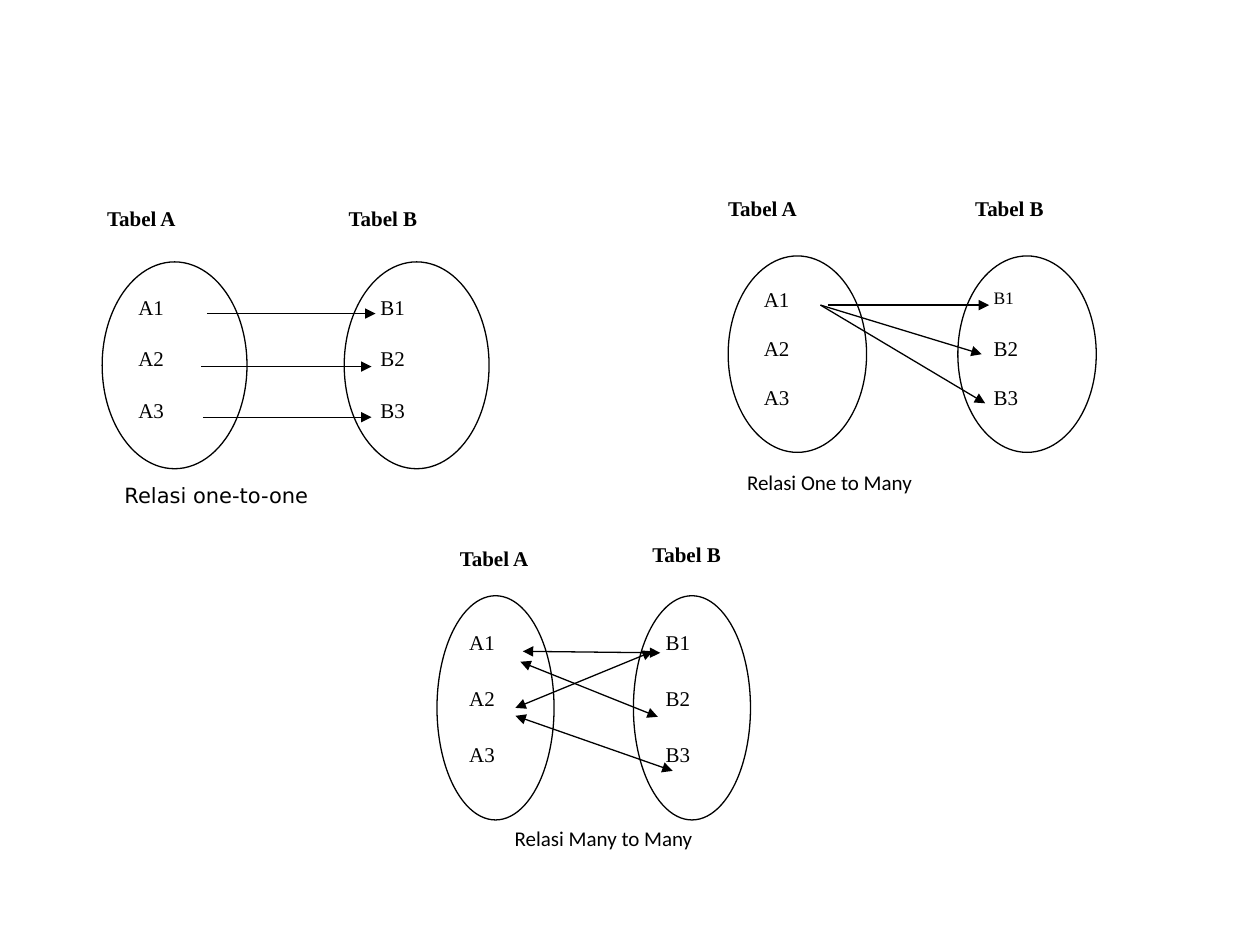
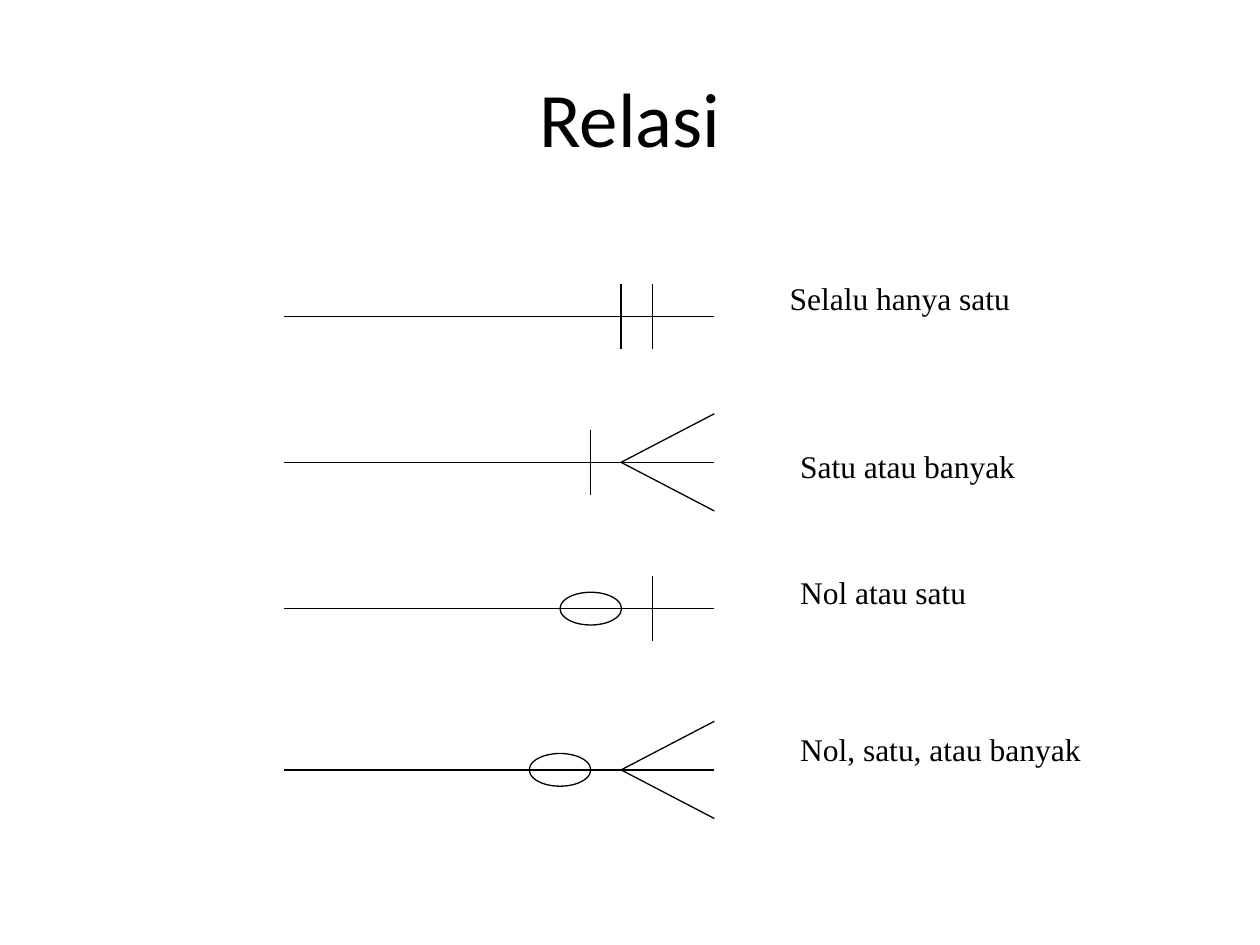
"""Build two slides on table relations: mapping diagrams and line notation."""
from lxml.etree import SubElement
from pptx import Presentation
from pptx.dml.color import RGBColor
from pptx.enum.shapes import MSO_CONNECTOR as Connector, MSO_SHAPE as Shape
from pptx.enum.text import MSO_ANCHOR as Anchor, PP_ALIGN as Align
from pptx.oxml.ns import qn
from pptx.util import Cm, Pt

COLOURS = {"ink": "000000", "paper": "FFFFFF"}
SLIDE_SIZE = (25.4, 19.05)
LINE_WIDTH = 0.75
STYLES = {
    "title": {"name": "Calibri", "size": Pt(44)},
    "heading": {"name": "Times New Roman", "size": Pt(12), "bold": True},
    "item": {"name": "Times New Roman", "size": Pt(12)},
    "small item": {"name": "Times New Roman", "size": Pt(10)},
    "caption": {"name": "Calibri", "size": Pt(12)},
    "plain caption": {"name": "DejaVu Sans", "size": Pt(12)},
    "label": {"name": "Times New Roman", "size": Pt(18)},
}
TABLES = {"Tabel A": ["A1", "A2", "A3"], "Tabel B": ["B1", "B2", "B3"]}

RELATIONS = [
    {
        "caption": ("Relasi one-to-one", "plain caption", (2.26, 9.6, 5.31, 0.76), 0, Align.LEFT),
        "headings": [(1.91, 4.01), (6.78, 4.01)],
        "oval": (2.06, 5.28, 2.92, 4.17), "table_gap": 4.88,
        "first_item": (0.48, 0.54), "item_gap": 1.03,
        "small": [], "heads": ["tailEnd"],
        "arrows": [(4.17, 6.32, 7.57, 6.32), (4.06, 7.39, 7.49, 7.39), (4.09, 8.41, 7.49, 8.41)],
    },
    {
        "caption": ("Relasi One to Many", "caption", (13.54, 9.35, 8.36, 2.18), 1.27, Align.LEFT),
        "headings": [(14.43, 3.81), (19.41, 3.81)],
        "oval": (14.68, 5.16, 2.79, 3.96), "table_gap": 4.63,
        "first_item": (0.47, 0.5), "item_gap": 0.98,
        "small": ["B1"], "heads": ["tailEnd"],
        "arrows": [(16.69, 6.15, 19.94, 6.15), (16.54, 6.15, 19.86, 8.13),
                   (16.54, 6.15, 19.79, 7.14)],
    },
    {
        "caption": ("Relasi Many to Many", "caption", (7.42, 16.51, 8.23, 1.7), 1.27, Align.CENTER),
        "headings": [(9.02, 10.87), (12.9, 10.8)],
        "oval": (8.81, 12.01, 2.36, 4.52), "table_gap": 3.96,
        "first_item": (0.4, 0.56), "item_gap": 1.13,
        "small": [], "heads": ["headEnd", "tailEnd"],
        "arrows": [(10.54, 13.13, 13.31, 13.16), (10.49, 13.34, 13.26, 14.45),
                   (10.39, 14.27, 13.16, 13.13), (10.39, 14.43, 13.56, 15.54)],
    },
]

NOTATIONS = [
    {"label": "Selalu hanya satu", "at": (15.67, 5.51), "y": 6.38, "bars": [12.52, 13.16]},
    {"label": "Satu atau banyak", "at": (15.88, 8.89), "y": 9.32, "bars": [11.91], "fork": True},
    {"label": "Nol atau satu", "at": (15.88, 11.43), "y": 12.27, "bars": [13.16], "zero": 11.91},
    {"label": "Nol, satu, atau banyak", "at": (15.88, 14.6), "y": 15.52, "zero": 11.29, "fork": True},
]
AXIS = (5.72, 14.4)
BAR_HALF, FORK_HALF, FORK_TIP = 0.65, 0.98, 12.52
ZERO_SIZE = (1.24, 0.66)


def colour(name):
    return RGBColor.from_string(COLOURS[name])


def add_text(slide, text, style, box, indent=0, align=Align.LEFT, anchor=Anchor.TOP):
    frame = slide.shapes.add_textbox(*map(Cm, box)).text_frame
    settings = {"word_wrap": True, "vertical_anchor": anchor, "margin_left": Cm(0.25 + indent)}
    for name, value in settings.items():
        setattr(frame, name, value)
    paragraph = frame.paragraphs[0]
    paragraph.alignment = align
    run = paragraph.add_run()
    run.text = text
    for name, value in STYLES[style].items():
        setattr(run.font, name, value)
    run.font.color.rgb = colour("ink")


def draw_outline(shape):
    shape.line.color.rgb = colour("ink")
    shape.line.width = Pt(LINE_WIDTH)


def add_oval(slide, box):
    shape = slide.shapes.add_shape(Shape.OVAL, *map(Cm, box))
    shape.shadow.inherit = False
    shape.fill.background()
    draw_outline(shape)


def add_line(slide, ends, heads=()):
    connector = slide.shapes.add_connector(Connector.STRAIGHT, *map(Cm, ends))
    draw_outline(connector)
    for head in heads:
        SubElement(connector.line._get_or_add_ln(), qn(f"a:{head}"), type="triangle")
    SubElement(connector._element.spPr, qn("a:effectLst"))


def add_relation(slide, relation):
    left, top, width, height = relation["oval"]
    inset, drop = relation["first_item"]
    for column, (heading, items) in enumerate(TABLES.items()):
        add_text(slide, heading, "heading", (*relation["headings"][column], 2.8, 1))
        oval_left = left + column * relation["table_gap"]
        add_oval(slide, (oval_left, top, width, height))
        for row, item in enumerate(items):
            style = "small item" if item in relation["small"] else "item"
            item_top = top + drop + row * relation["item_gap"]
            add_text(slide, item, style, (oval_left + inset, item_top, width - 2 * inset, 1))
    for ends in relation["arrows"]:
        add_line(slide, ends, relation["heads"])
    add_text(slide, *relation["caption"])


def add_notation(slide, notation):
    start, end = AXIS
    y = notation["y"]
    add_line(slide, (start, y, end, y))
    for x in notation.get("bars", []):
        add_line(slide, (x, y - BAR_HALF, x, y + BAR_HALF))
    if notation.get("fork"):
        for offset in (-FORK_HALF, FORK_HALF):
            add_line(slide, (FORK_TIP, y, end, y + offset))
    if "zero" in notation:
        width, height = ZERO_SIZE
        add_oval(slide, (notation["zero"] - width / 2, y - height / 2, width, height))
    add_text(slide, notation["label"], "label", (*notation["at"], 6.78, 1.02))


def add_slide(presentation):
    slide = presentation.slides.add_slide(presentation.slide_layouts[6])
    slide.background.fill.solid()
    slide.background.fill.fore_color.rgb = colour("paper")
    return slide


def main():
    presentation = Presentation()
    presentation.slide_width, presentation.slide_height = map(Cm, SLIDE_SIZE)
    mapping_slide = add_slide(presentation)
    for relation in RELATIONS:
        add_relation(mapping_slide, relation)
    notation_slide = add_slide(presentation)
    add_text(notation_slide, "Relasi", "title", (1.27, 0.76, 22.86, 3.18),
             align=Align.CENTER, anchor=Anchor.MIDDLE)
    for notation in NOTATIONS:
        add_notation(notation_slide, notation)
    presentation.save("out.pptx")


if __name__ == "__main__":
    main()
